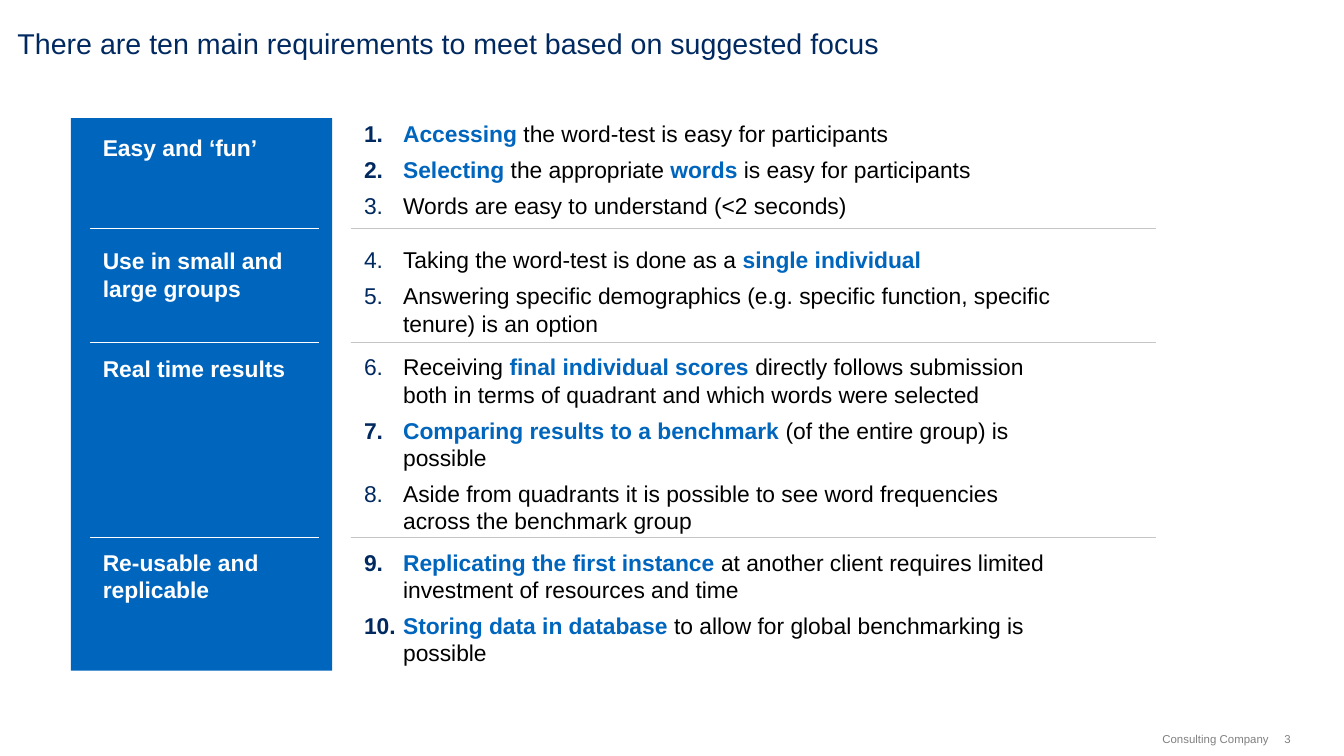
from dataclasses import dataclass
from lxml.etree import SubElement
from pptx import Presentation
from pptx.dml.color import RGBColor
from pptx.enum.shapes import MSO_CONNECTOR, MSO_SHAPE
from pptx.enum.text import MSO_ANCHOR, PP_ALIGN
from pptx.oxml.ns import qn
from pptx.util import Inches, Pt


@dataclass(frozen=True)
class Theme:
    font: str = "Arial"
    navy: str = "002960"
    blue: str = "0065BD"
    black: str = "000000"
    white: str = "FFFFFF"
    rule: str = "C5C5C5"
    grey: str = "808080"
    title: int = 20
    body: int = 16
    small: int = 8
    gap: int = 6
    line: float = 0.75


class Board:
    """Places elements on a grid with ten columns and rows to the inch."""

    def __init__(self, deck, theme):
        self.theme = theme
        self.slide = deck.slides.add_slide(deck.slide_layouts[6])

    def cell(self, *units):
        return [Inches(unit / 10) for unit in units]

    def style(self, run, size, color, bold=False):
        font = run.font
        font.name, font.size, font.bold = self.theme.font, Pt(size), bold
        font.color.rgb = RGBColor.from_string(color)

    def frame(self, area):
        box = self.slide.shapes.add_textbox(*self.cell(*area))
        frame = box.text_frame
        frame.margin_left = frame.margin_right = 0
        frame.margin_top = frame.margin_bottom = 0
        frame.word_wrap = True
        return frame

    def text(self, area, words, size, color, bold=False, align=PP_ALIGN.LEFT,
             anchor=MSO_ANCHOR.TOP):
        frame = self.frame(area)
        frame.text = words
        frame.vertical_anchor = anchor
        para = frame.paragraphs[0]
        para.alignment = align
        self.style(para.runs[0], size, color, bold)

    def number(self, para, start):
        props = para._p.get_or_add_pPr()
        indent = Inches(0.38)
        props.set("marL", str(indent))
        props.set("indent", str(-indent))
        tint = SubElement(props, qn("a:buClr"))
        SubElement(tint, qn("a:srgbClr"), val=self.theme.navy)
        SubElement(props, qn("a:buFont"), typeface="+mj-lt")
        SubElement(props, qn("a:buAutoNum"), type="arabicPeriod", startAt=str(start))

    def points(self, area, items, start):
        """Numbered list; words between asterisks are highlighted."""
        frame = self.frame(area)
        for index, item in enumerate(items):
            para = frame.add_paragraph() if index else frame.paragraphs[0]
            self.number(para, start)
            para.space_before = Pt(self.theme.gap if index else 0)
            for part, words in enumerate(item.split("*")):
                if words:
                    run = para.add_run()
                    run.text = words
                    key = part % 2 == 1
                    color = self.theme.blue if key else self.theme.black
                    self.style(run, self.theme.body, color, key)

    def panel(self, area, color):
        shape = self.slide.shapes.add_shape(MSO_SHAPE.RECTANGLE, *self.cell(*area))
        shape.shadow.inherit = False
        shape.fill.solid()
        shape.fill.fore_color.rgb = RGBColor.from_string(color)
        shape.line.fill.background()

    def rule(self, left, right, row, color):
        line = self.slide.shapes.add_connector(
            MSO_CONNECTOR.STRAIGHT, *self.cell(left, row, right, row))
        line.line.color.rgb = RGBColor.from_string(color)
        line.line.width = Pt(self.theme.line)
        SubElement(line._element.spPr, qn("a:effectLst"))


# Topic, its row and height, then the row and height of its requirements
GROUPS = [
    ("Easy and ‘fun’", 13, 2.7, 11.6, 9.8, [
        "*Accessing* the word-test is easy for participants",
        "*Selecting* the appropriate *words* is easy for participants",
        "Words are easy to understand (<2 seconds)"]),
    ("Use in small and large groups", 24, 5.4, 23.9, 8.9, [
        "Taking the word-test is done as a *single individual*",
        "Answering specific demographics (e.g. specific function, "
        "specific tenure) is an option"]),
    ("Real time results", 34.5, 2.7, 34.3, 17.8, [
        "Receiving *final individual scores *directly follows submission "
        "both in terms of quadrant and which words were selected",
        "*Comparing results to a benchmark *(of the entire group) is possible",
        "Aside from quadrants it is possible to see word frequencies "
        "across the benchmark group"]),
    ("Re-usable and replicable", 53.3, 5.4, 53.3, 11.6, [
        "*Replicating the first instance *at another client requires "
        "limited investment of resources and time",
        "*Storing data in database *to allow for global benchmarking is possible"]),
]
BREAKS = [22.2, 33.3, 52.3]


def main():
    deck = Presentation()
    deck.slide_width, deck.slide_height = Inches(13.07), Inches(7.35)
    theme = Theme()
    board = Board(deck, theme)

    # Title
    board.text((1.7, 2.5, 125.7, 3.4),
               "There are ten main requirements to meet based on suggested focus",
               theme.title, theme.navy)

    # Topics and their requirements
    board.panel((6.9, 11.5, 25.4, 53.7), theme.blue)
    start = 1
    for topic, row, tall, top, depth, items in GROUPS:
        board.text((10, row, 19.9, tall), topic, theme.body, theme.white, True)
        board.points((35.4, top, 67.9, depth), items, start)
        start += len(items)

    # Rules between groups
    for row in BREAKS:
        board.rule(8.8, 31, row, theme.white)
        board.rule(34.1, 112.4, row, theme.rule)

    # Footer
    board.text((110, 71.2, 13.4, 1.3), "Consulting Company", theme.small, theme.grey,
               align=PP_ALIGN.RIGHT, anchor=MSO_ANCHOR.MIDDLE)
    board.text((124.9, 71.2, 1.4, 1.3), "3", theme.small, theme.grey,
               anchor=MSO_ANCHOR.MIDDLE)

    deck.save("out.pptx")


if __name__ == "__main__":
    main()
